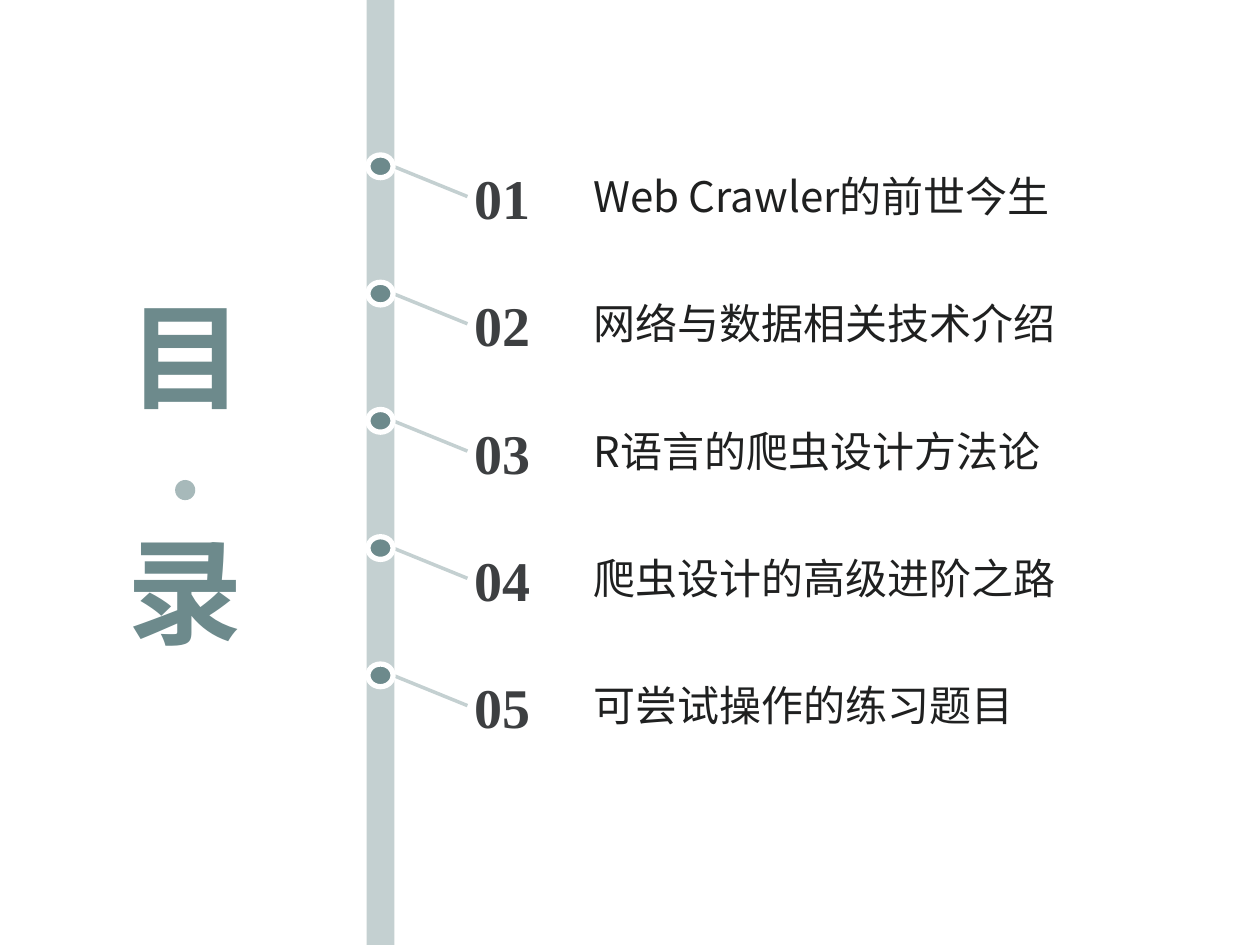
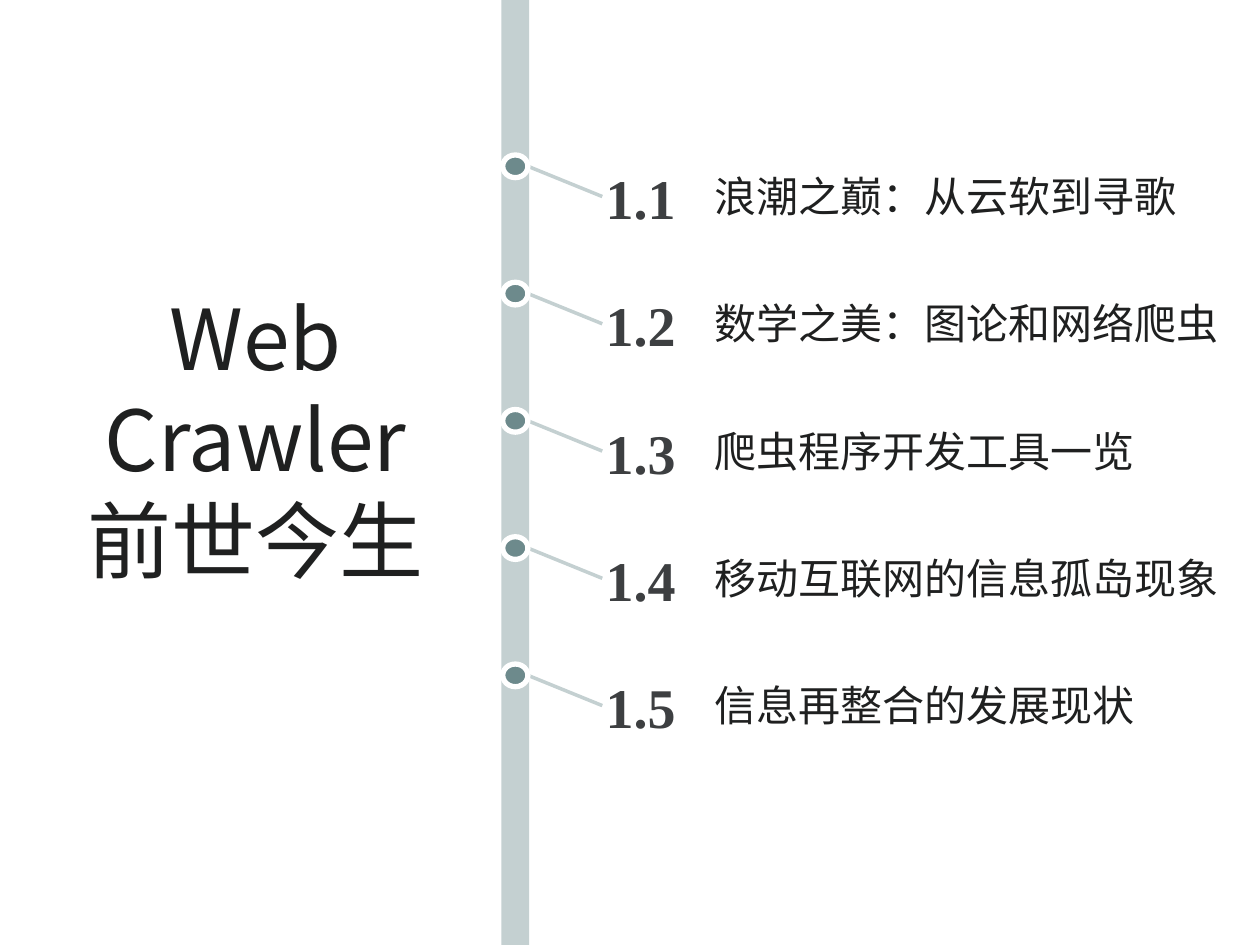
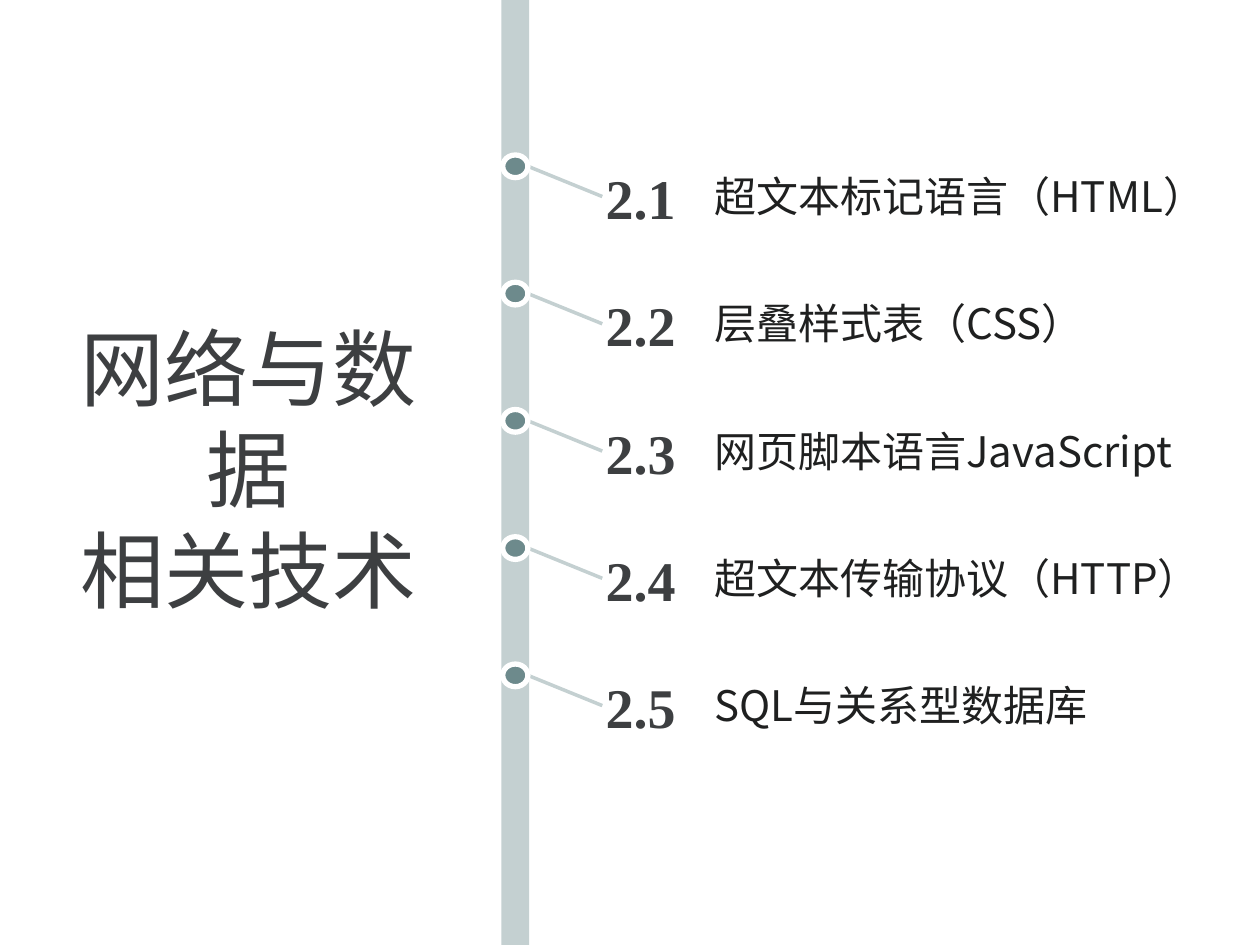
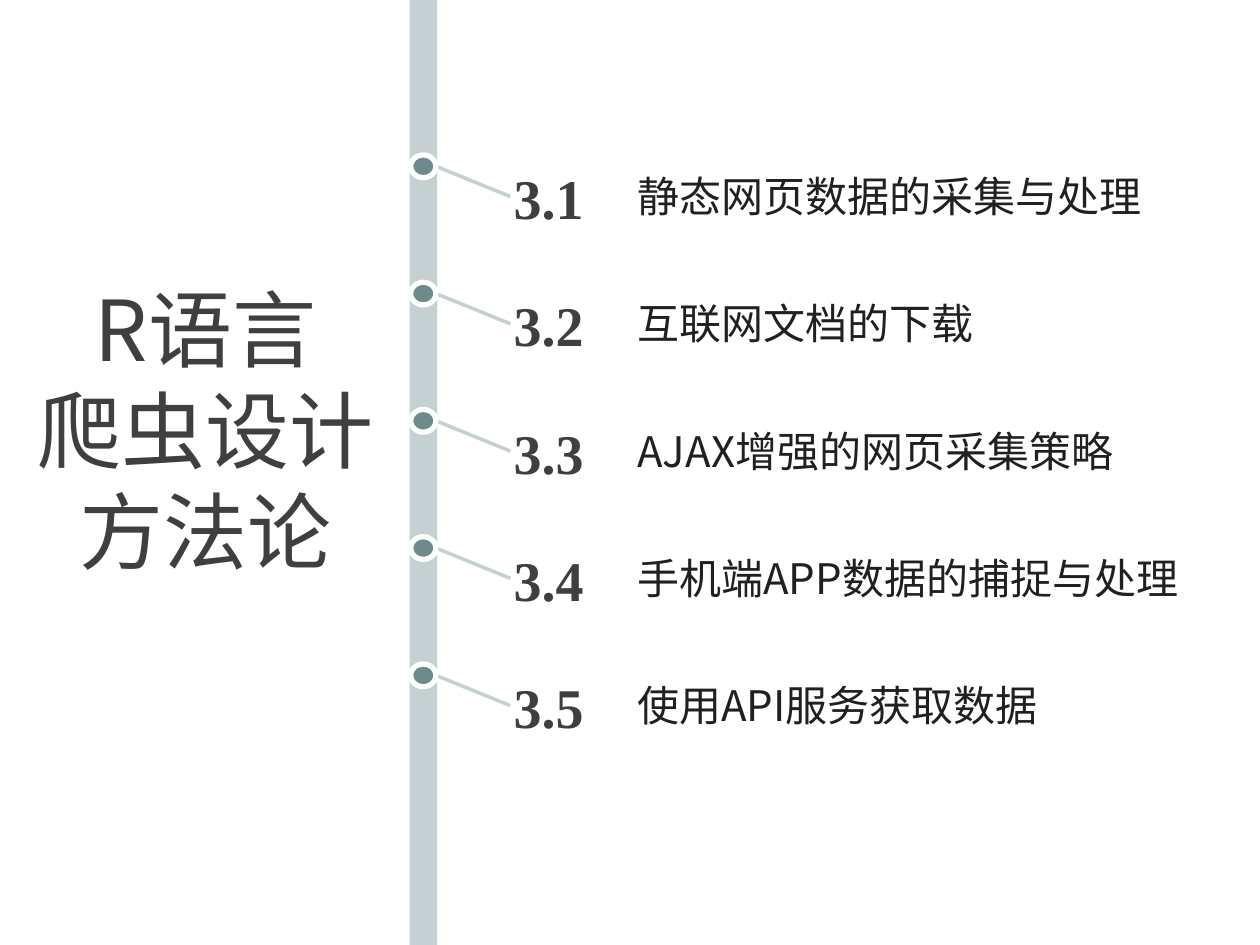
from dataclasses import dataclass

from lxml.etree import SubElement
from pptx import Presentation
from pptx.dml.color import RGBColor
from pptx.enum.shapes import MSO_CONNECTOR as Link, MSO_SHAPE as Kind
from pptx.enum.text import MSO_ANCHOR as Anchor, MSO_AUTO_SIZE as Fit, PP_ALIGN as Align
from pptx.oxml.ns import qn
from pptx.util import Inches, Pt

# Shared look
SANS, SERIF = "Noto Sans CJK SC", "Times New Roman"
BAND, TEAL, MIST = "C4D0D1", "6D8A8C", "A7B9BA"
INK, GREY, WHITE = "1F2020", "3D3F41", "FFFFFF"
WIDE, HIGH = 10, 7.5
TOP, STEP = 1.23, 1.01


@dataclass
class Style:
    size: int
    color: str
    face: str = SANS
    bold: bool = False


@dataclass
class Box:
    left: float
    top: float
    width: float
    height: float

    def place(self) -> tuple:
        return tuple(map(Inches, (self.left, self.top, self.width, self.height)))


@dataclass
class Agenda:
    title: list[str]
    box: Box
    style: Style
    bar: float      # left edge of the band
    num: float      # left edge of the numbers
    text: float     # left edge of the topics
    lead: str       # what each number starts with
    topics: list[str]
    base: float = 0.05   # inset below the title


LARGE = Style(66, TEAL, bold=True)
ITEM = Style(24, INK)
NUM = Style(32, GREY, SERIF, True)

PAGES = [
    Agenda(["目"], Box(0.91, 2.21, 1.13, 1.21), LARGE, 2.91, 3.63, 4.71, "0", [
        "Web Crawler的前世今生", "网络与数据相关技术介绍", "R语言的爬虫设计方法论",
        "爬虫设计的高级进阶之路", "可尝试操作的练习题目"]),
    Agenda(["Web Crawler", "前世今生"], Box(0.55, 2.31, 2.96, 3.13), Style(48, INK),
           3.98, 4.73, 5.67, "1.", [
        "浪潮之巅：从云软到寻歌", "数学之美：图论和网络爬虫", "爬虫程序开发工具一览",
        "移动互联网的信息孤岛现象", "信息再整合的发展现状"], 0.85),
    Agenda(["网络与数据", "相关技术"], Box(0.49, 2.15, 2.96, 3.13), Style(48, GREY),
           3.98, 4.73, 5.67, "2.", [
        "超文本标记语言（HTML）", "层叠样式表（CSS）", "网页脚本语言JavaScript",
        "超文本传输协议（HTTP）", "SQL与关系型数据库"]),
    Agenda(["R语言", "爬虫设计", "方法论"], Box(0.15, 2.24, 2.96, 3.13), Style(48, GREY),
           3.25, 4, 5.06, "3.", [
        "静态网页数据的采集与处理", "互联网文档的下载", "AJAX增强的网页采集策略",
        "手机端APP数据的捕捉与处理", "使用API服务获取数据"], 0.85),
]


def paint(color: str) -> RGBColor:
    return RGBColor.from_string(color)


def write(shape, lines: list[str], style: Style, align=Align.CENTER,
          wrap: bool = False, pad: tuple = (0, 0, 0, 0)) -> None:
    frame = shape.text_frame
    frame.auto_size = Fit.NONE
    frame.word_wrap = wrap
    frame.vertical_anchor = Anchor.MIDDLE
    (frame.margin_left, frame.margin_top,
     frame.margin_right, frame.margin_bottom) = map(Inches, pad)
    for i, line in enumerate(lines):
        para = frame.add_paragraph() if i else frame.paragraphs[0]
        para.alignment = align
        run = para.add_run()
        run.text = line
        font = run.font
        font.size, font.bold, font.name = Pt(style.size), style.bold, style.face
        font.color.rgb = paint(style.color)
        SubElement(run._r.get_or_add_rPr(), qn("a:ea"), typeface=style.face)


def label(slide, box: Box, text: str, style: Style, **opts) -> None:
    write(slide.shapes.add_textbox(*box.place()), [text], style, **opts)


def solid(slide, kind, box: Box, fill: str, edge: str = ""):
    shape = slide.shapes.add_shape(kind, *box.place())
    shape.shadow.inherit = False
    shape.fill.solid()
    shape.fill.fore_color.rgb = paint(fill)
    if edge:
        shape.line.color.rgb = paint(edge)
        shape.line.width = Pt(3)
    else:
        shape.line.fill.background()
    return shape


def branch(slide, left: float, top: float) -> None:
    ends = map(Inches, (left, top, left + 0.59, top + 0.24))
    line = slide.shapes.add_connector(Link.STRAIGHT, *ends)
    line.line.color.rgb = paint(BAND)
    line.line.width = Pt(2)
    SubElement(line._element.spPr, qn("a:effectLst"))


def draw(deck, page: Agenda):
    slide = deck.slides.add_slide(deck.slide_layouts[5])

    # Title above the vertical band
    title = slide.shapes.title
    title.left, title.top, title.width, title.height = page.box.place()
    write(title, page.title, page.style, pad=(0.1, 0.05, 0.1, page.base))
    band = solid(slide, Kind.RECTANGLE, Box(page.bar, 0, 0.22, HIGH), BAND)
    title._element.addprevious(band._element)

    # Numbered topics
    for i, topic in enumerate(page.topics):
        top = TOP + i * STEP
        branch(slide, page.bar + 0.21, top + 0.09)
        solid(slide, Kind.OVAL, Box(page.bar + 0.01, top, 0.2, 0.18), TEAL, WHITE)
        width = min(4.87, WIDE - page.text)
        label(slide, Box(page.text, top + 0.06, width, 0.53), topic, ITEM,
              align=Align.LEFT, wrap=True)
        label(slide, Box(page.num, top + 0.1, 0.71, 0.47), f"{page.lead}{i + 1}", NUM)
    return slide


def main() -> None:
    deck = Presentation()
    deck.slide_width, deck.slide_height = Inches(WIDE), Inches(HIGH)
    slides = [draw(deck, page) for page in PAGES]

    # Second half of the contents heading
    solid(slides[0], Kind.OVAL, Box(1.39, 3.81, 0.16, 0.16), MIST)
    label(slides[0], Box(0.89, 4.07, 1.16, 1.21), "录", LARGE, wrap=True,
          pad=(0.1, 0.05, 0.1, 0.05))
    deck.save("out.pptx")


if __name__ == "__main__":
    main()
